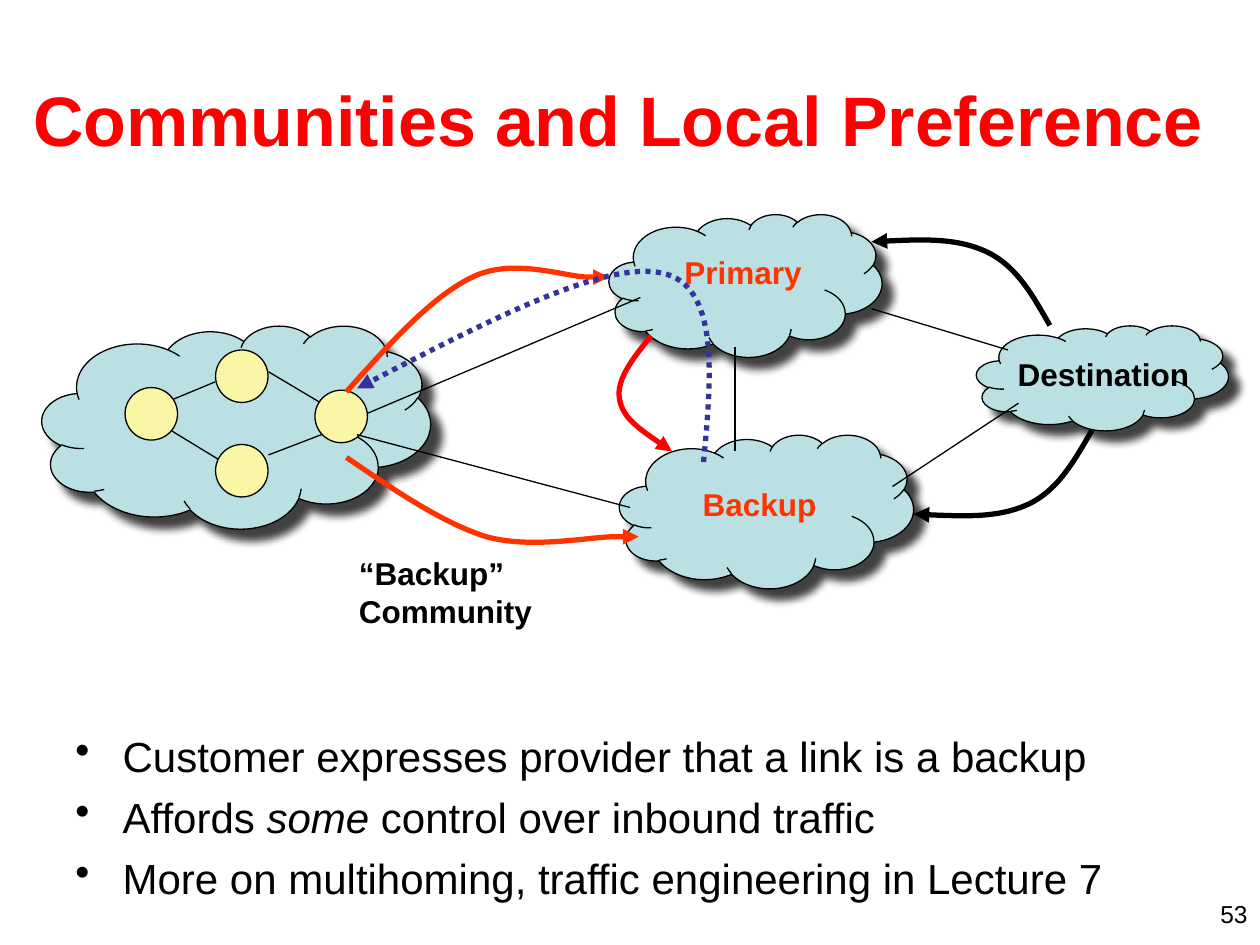
from lxml.etree import SubElement
from pptx import Presentation
from pptx.dml.color import RGBColor
from pptx.enum.dml import MSO_LINE
from pptx.enum.shapes import MSO_CONNECTOR, MSO_SHAPE
from pptx.enum.text import MSO_ANCHOR, MSO_AUTO_SIZE, PP_ALIGN
from pptx.oxml.ns import qn
from pptx.util import Pt

BLACK = RGBColor(0x00, 0x00, 0x00)
RED = RGBColor(0xFF, 0x00, 0x00)
ORANGE = RGBColor(0xFF, 0x33, 0x00)
INDIGO = RGBColor(0x33, 0x33, 0x99)
CLOUD_BLUE = RGBColor(0xBB, 0xE0, 0xE3)
ROUTER_YELLOW = RGBColor(0xF9, 0xF7, 0xA5)

# Content: all lengths in points
TITLE = "Communities and Local Preference"
PAGE_NUMBER = "53"
BULLETS = [  # runs as (text, italic)
    [("Customer expresses provider that a link is a backup", False)],
    [("Affords ", False), ("some", True), (" control over inbound traffic", False)],
    [("More on multihoming, traffic engineering in Lecture 7", False)],
]
CLOUDS = [  # left, top, width, height
    (24, 186, 222, 116),  # customer
    (348, 122.4, 156, 81.6),  # primary
    (354, 248.4, 168, 87.8),  # backup
    (558, 186, 144, 60),  # destination
]
ROUTER_SIZE = 30
ROUTERS = [(123.2, 200), (123.2, 254), (180, 223), (71.5, 221.5)]
ROUTER_LINKS = [  # x1, y1, x2, y2
    (93.6, 230.4, 123, 218.2), (153.4, 260, 183.6, 248.4),
    (95.8, 244.8, 125.3, 262.8), (153.4, 212.4, 183.6, 230.4),
]
PROVIDER_LINKS = [
    (210, 236.2, 366, 170), (204, 248.4, 360, 290),
    (498, 176.4, 576, 200), (510, 278, 582, 230.4), (420, 198, 420, 258),
]
LABELS = [  # text, left, top, width, height, colour, wrap
    ("Primary", 384, 141, 81.4, 28.8, ORANGE, False),
    ("Backup", 394.5, 273.6, 79.2, 28.8, ORANGE, False),
    ("“Backup” Community", 198, 313.2, 180, 50.4, BLACK, True),
    ("Destination", 574.5, 199.5, 112.3, 28.8, BLACK, False),
]
# Colour, arrowhead end, dash, then a start point and Bezier triples
CURVES = [
    (ORANGE, "headEnd", None,
     [(348, 158.4), (348.5, 158.4), (349.2, 158.4), (336.2, 158.4),
      (323.3, 158.4), (293, 146.9), (270, 158.4),
      (247, 169.2), (222.5, 196.6), (198, 223.9)]),
    (ORANGE, "headEnd", None,
     [(365, 306.7), (365.8, 306.7), (365.8, 306.7), (351.4, 306.7),
      (337, 306.7), (303.8, 313.9), (277.9, 306.7),
      (252.7, 298.8), (225.4, 280.1), (198, 261.4)]),
    (BLACK, "tailEnd", None,
     [(600, 186), (590.4, 169.2), (581, 152), (564, 144),
      (547.2, 136), (522.7, 136.8), (498, 138.2)]),
    (BLACK, "tailEnd", None,
     [(624, 246), (614.2, 262.8), (604.8, 280), (588, 288),
      (571, 296), (546.5, 295), (522, 293.8)]),
    (RED, "tailEnd", None,
     [(372, 192), (362, 204.5), (352, 216.7), (354, 228),
      (355.7, 239), (370, 248.4), (384, 258)]),
    (INDIGO, "tailEnd", MSO_LINE.ROUND_DOT,
     [(402, 264), (406.8, 213.8), (411, 162.7), (378, 156),
      (345, 149), (274, 185.8), (204, 222)]),
]


def points(*values):
    return [Pt(value) for value in values]


def set_line(shape, color, width):
    shape.line.color.rgb = color
    shape.line.width = Pt(width)


def add_filled(shapes, kind, box, color):
    shape = shapes.add_shape(kind, *points(*box))
    shape.fill.solid()
    shape.fill.fore_color.rgb = color
    set_line(shape, BLACK, 0.75)
    shape.shadow.inherit = False
    return shape


def add_cloud(shapes, box):
    cloud = add_filled(shapes, MSO_SHAPE.CLOUD, box, CLOUD_BLUE)
    effects = cloud._element.spPr.find(qn("a:effectLst"))
    shadow = SubElement(effects, qn("a:outerShdw"), blurRad=str(Pt(5)),
                        dist=str(Pt(8.5)), dir="2700000", rotWithShape="0")
    color = SubElement(shadow, qn("a:srgbClr"), val=str(BLACK))
    SubElement(color, qn("a:alpha"), val="75000")


def add_link(shapes, ends):
    link = shapes.add_connector(MSO_CONNECTOR.STRAIGHT, *points(*ends))
    set_line(link, BLACK, 0.75)
    SubElement(link._element.spPr, qn("a:effectLst"))


def add_curve(shapes, color, arrow_end, dash, vertices):
    start, *rest = [points(*vertex) for vertex in vertices]
    builder = shapes.build_freeform(*start, scale=1.0)
    builder.add_line_segments(rest, close=False)
    curve = builder.convert_to_shape()
    # Turn every three line segments into one Bezier segment
    path = curve._element.spPr.find(".//" + qn("a:path"))
    segments = path.findall(qn("a:lnTo"))
    for index in range(0, len(segments), 3):
        bezier = SubElement(path, qn("a:cubicBezTo"))
        for segment in segments[index:index + 3]:
            bezier.append(segment[0])
            path.remove(segment)
    curve.fill.background()
    set_line(curve, color, 3)
    if dash:
        curve.line.dash_style = dash
    SubElement(curve.line._get_or_add_ln(), qn("a:" + arrow_end), type="triangle")
    curve.shadow.inherit = False


def add_text(shapes, box, size, paragraphs, color=BLACK, bold=False, wrap=True):
    text_box = shapes.add_textbox(*points(*box))
    frame = text_box.text_frame
    frame.word_wrap = wrap
    for index, runs in enumerate(paragraphs):
        paragraph = frame.paragraphs[0] if index == 0 else frame.add_paragraph()
        for text, italic in runs:
            run = paragraph.add_run()
            run.text = text
            if italic:
                run.font.italic = True
        font = paragraph.font
        font.name, font.size, font.bold = "Arial", Pt(size), bold
        font.color.rgb = color
    return frame


def add_bullet(paragraph):
    properties = paragraph._p.get_or_add_pPr()
    properties.set("marL", str(Pt(27)))
    properties.set("indent", str(Pt(-27)))
    bullet = properties.makeelement(qn("a:buChar"), {"char": "•"})
    properties.find(qn("a:defRPr")).addprevious(bullet)


def main():
    presentation = Presentation()
    presentation.slide_width, presentation.slide_height = points(720, 540)
    slide = presentation.slides.add_slide(presentation.slide_layouts[6])
    shapes = slide.shapes

    # Page number, title and bullets
    frame = add_text(shapes, (552, 510, 168, 18), 14, [[(PAGE_NUMBER, False)]])
    frame.paragraphs[0].alignment = PP_ALIGN.RIGHT
    frame = add_text(shapes, (12, 23, 690, 90), 40, [[(TITLE, False)]], RED, True)
    frame.vertical_anchor = MSO_ANCHOR.MIDDLE
    frame = add_text(shapes, (36, 414, 648, 114), 24, BULLETS)
    for index, paragraph in enumerate(frame.paragraphs):
        add_bullet(paragraph)
        if index:
            paragraph.space_before = Pt(6)

    # Clouds and the customer's routers
    for box in CLOUDS:
        add_cloud(shapes, box)
    network = shapes.add_group_shape().shapes
    for ends in ROUTER_LINKS:
        add_link(network, ends)
    for left, top in ROUTERS:
        add_filled(network, MSO_SHAPE.OVAL,
                   (left, top, ROUTER_SIZE, ROUTER_SIZE), ROUTER_YELLOW)

    # Links, labels and route arrows
    for ends in PROVIDER_LINKS:
        add_link(shapes, ends)
    for text, *box, color, wrap in LABELS:
        frame = add_text(shapes, box, 18, [[(text, False)]], color, True, wrap)
        frame.auto_size = MSO_AUTO_SIZE.SHAPE_TO_FIT_TEXT
    for curve in CURVES:
        add_curve(shapes, *curve)

    presentation.save("out.pptx")


if __name__ == "__main__":
    main()
